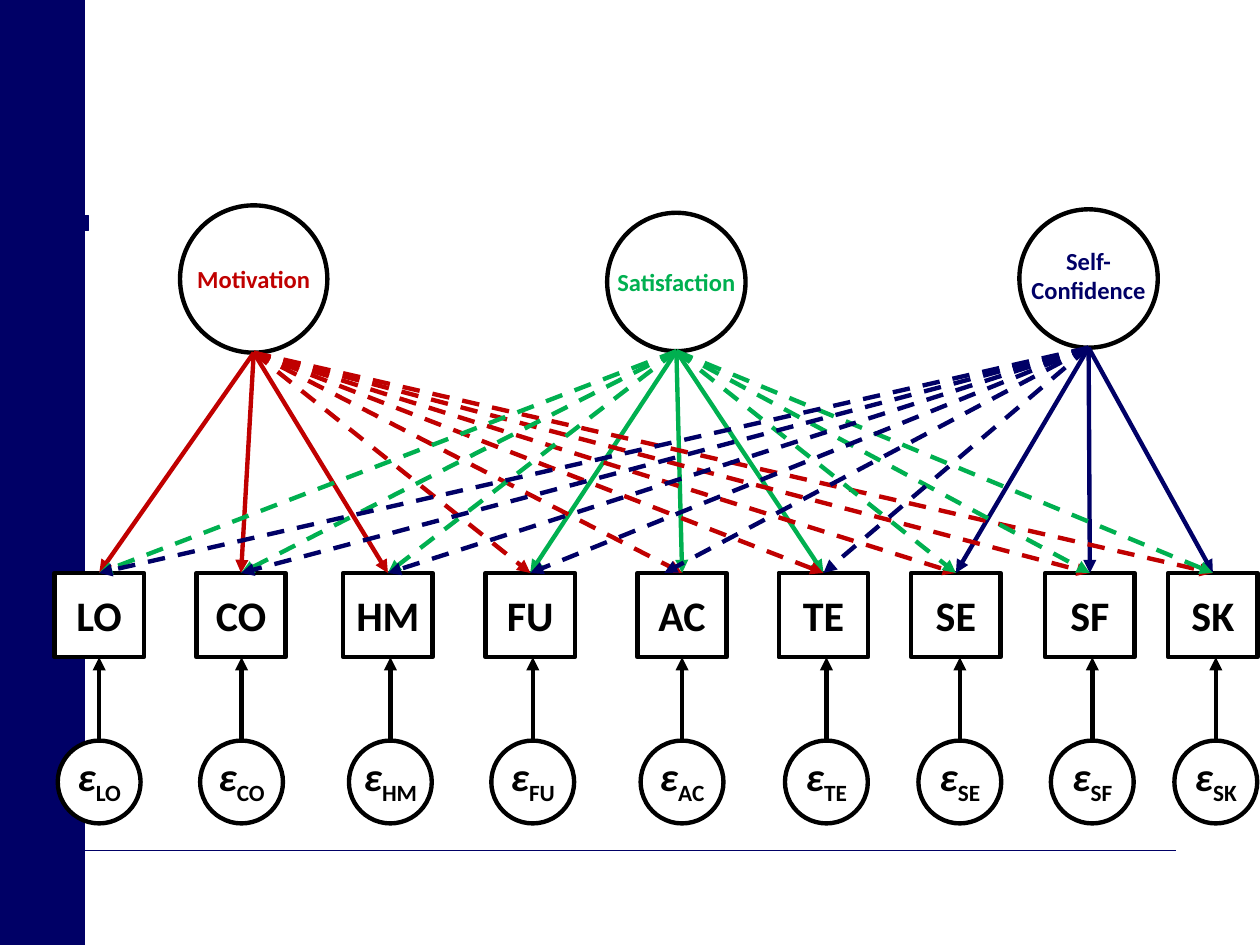
from lxml.etree import SubElement
from pptx import Presentation
from pptx.dml.color import RGBColor
from pptx.enum.dml import MSO_LINE_DASH_STYLE as Dash
from pptx.enum.shapes import MSO_CONNECTOR as Connector, MSO_SHAPE as Shape
from pptx.enum.text import MSO_ANCHOR as Anchor, PP_ALIGN as Align
from pptx.oxml.ns import qn
from pptx.util import Cm, Pt

COLORS = {
    "navy": "000066",
    "red": "C00000",
    "green": "00B050",
    "black": "000000",
    "white": "FFFFFF",
}
SLIDE_WIDTH, SLIDE_HEIGHT = 25.4, 19.05
LINE_WIDTH = 2.5
FACTORS = [
    (["Motivation"], "red", 3.63, 4.14, 2.97),
    (["Satisfaction"], "green", 12.24, 4.29, 2.79),
    (["Self-", "Confidence"], "navy", 20.55, 4.22, 2.79),
]
ITEMS = [
    ("LO", 2.0, 2.0),
    ("CO", 4.86, 4.87),
    ("HM", 7.82, 7.87),
    ("FU", 10.69, 10.74),
    ("AC", 13.75, 13.75),
    ("TE", 16.6, 16.66),
    ("SE", 19.27, 19.35),
    ("SF", 21.97, 22.02),
    ("SK", 24.45, 24.51),
]
ITEMS_PER_FACTOR = 3
ITEM_TOP, ITEM_WIDTH, ITEM_HEIGHT = 11.55, 1.8, 1.7
ERROR_TOP, ERROR_SIZE = 14.93, 1.67
END_SHIFTS = {("navy", "AC"): -0.36}


def color(name):
    return RGBColor.from_string(COLORS[name])


def add_block(slide, kind, box, fill=None, line="black", width=LINE_WIDTH):
    shape = slide.shapes.add_shape(kind, *map(Cm, box))
    shape.shadow.inherit = False
    if fill:
        shape.fill.solid()
        shape.fill.fore_color.rgb = color(fill)
    else:
        shape.fill.background()
    shape.line.color.rgb = color(line)
    shape.line.width = Pt(width)
    return shape


def add_line(slide, start, end, name, width=LINE_WIDTH, dashed=False, arrow=True):
    connector = slide.shapes.add_connector(
        Connector.STRAIGHT, *map(Cm, (*start, *end)))
    connector.line.color.rgb = color(name)
    connector.line.width = Pt(width)
    if dashed:
        connector.line.dash_style = Dash.DASH
    if arrow:
        SubElement(connector.line._get_or_add_ln(), qn("a:tailEnd"), type="triangle")
    SubElement(connector._element.spPr, qn("a:effectLst"))


def write_text(shape, paragraphs, size, name, insets):
    frame = shape.text_frame
    formats = {
        "word_wrap": False,
        "vertical_anchor": Anchor.MIDDLE,
        "margin_left": Cm(insets[0]),
        "margin_top": Cm(insets[1]),
        "margin_right": Cm(insets[0]),
        "margin_bottom": Cm(0.13),
    }
    for attribute, value in formats.items():
        setattr(frame, attribute, value)
    for index, runs in enumerate(paragraphs):
        paragraph = frame.add_paragraph() if index else frame.paragraphs[0]
        paragraph.alignment = Align.CENTER
        for text, italic, baseline in runs:
            run = paragraph.add_run()
            run.text = text
            font_formats = {
                "name": "Calibri", "size": Pt(size), "bold": True, "italic": italic}
            for attribute, value in font_formats.items():
                setattr(run.font, attribute, value)
            run.font.color.rgb = color(name)
            if baseline:
                run._r.get_or_add_rPr().set("baseline", str(baseline))


def add_frame(slide, left, top, width, height):
    rail = 1.7
    add_block(slide, Shape.RECTANGLE, (left + rail, top + 4.34, 0.08, 0.3),
              "navy", "navy", 0.25)
    add_line(slide, (left + rail, top + 17.15), (left + width - rail, top + 17.15),
             "navy", 0.25, arrow=False)
    add_block(slide, Shape.RECTANGLE, (left, top, rail, height), "navy", "navy", 1)


def add_factor(slide, left, top, size, lines, name):
    circle = add_block(slide, Shape.OVAL, (left, top, size, size))
    paragraphs = [[(text, False, 0)] for text in lines]
    write_text(circle, paragraphs, 14, name, (0, 0.13 if len(lines) == 1 else 0))


def add_item(slide, center, error_center, label, fill):
    box = (center - ITEM_WIDTH / 2, ITEM_TOP, ITEM_WIDTH, ITEM_HEIGHT)
    square = add_block(slide, Shape.RECTANGLE, box, fill)
    write_text(square, [[(label, False, 0)]], 24, "black", (0.25, 0.13))
    box = (error_center - ERROR_SIZE / 2, ERROR_TOP, ERROR_SIZE, ERROR_SIZE)
    circle = add_block(slide, Shape.OVAL, box, fill)
    runs = [("ε", True, 0), (label, False, -25000)]
    write_text(circle, [runs], 23, "black", (0, 0))
    add_line(slide, (error_center, ERROR_TOP),
             (error_center, ITEM_TOP + ITEM_HEIGHT), "black")


def add_loadings(slide, dashed):
    for factor, (_, name, left, top, size) in enumerate(FACTORS):
        start = (left + size / 2, top + size)
        for index, (label, center, _) in enumerate(ITEMS):
            is_cross = index // ITEMS_PER_FACTOR != factor
            if is_cross == dashed:
                end = (center + END_SHIFTS.get((name, label), 0), ITEM_TOP)
                add_line(slide, start, end, name, dashed=dashed)


def main():
    presentation = Presentation()
    presentation.slide_width = Cm(SLIDE_WIDTH)
    presentation.slide_height = Cm(SLIDE_HEIGHT)
    slide = presentation.slides.add_slide(presentation.slide_layouts[6])
    slide.background.fill.solid()
    slide.background.fill.fore_color.rgb = color("white")
    add_frame(slide, 0, 0, SLIDE_WIDTH, SLIDE_HEIGHT)
    for lines, name, left, top, size in FACTORS:
        add_factor(slide, left, top, size, lines, name)
    for index, (label, center, error_center) in enumerate(ITEMS):
        add_item(slide, center, error_center, label, None if index else "white")
    for dashed in (False, True):
        add_loadings(slide, dashed)
    presentation.save("out.pptx")


if __name__ == "__main__":
    main()
